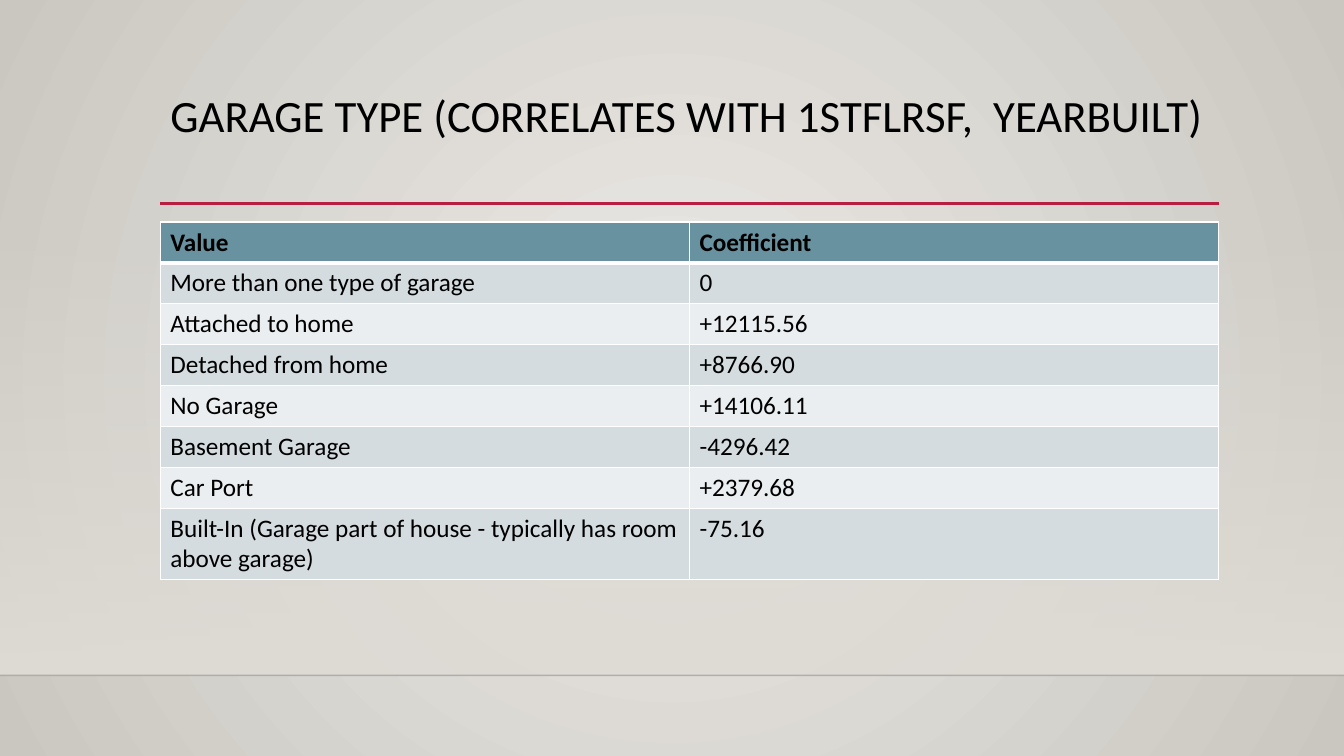
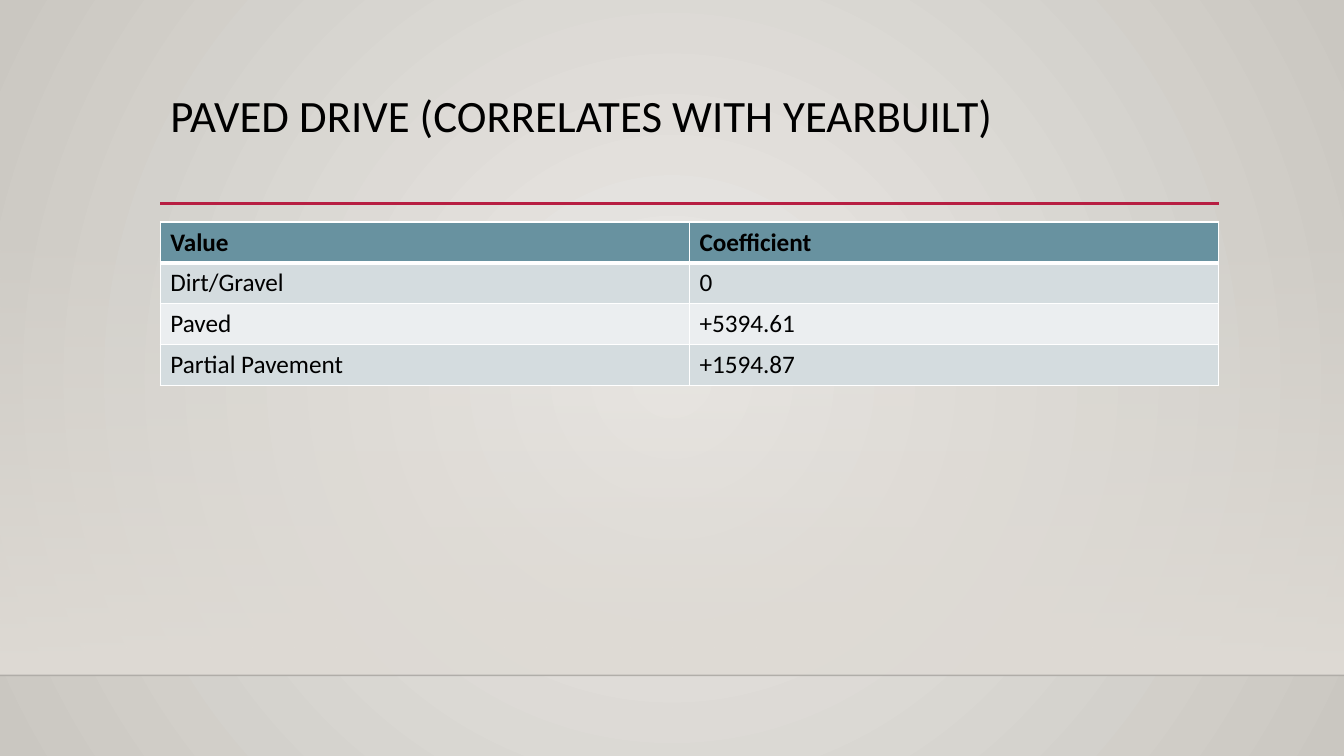
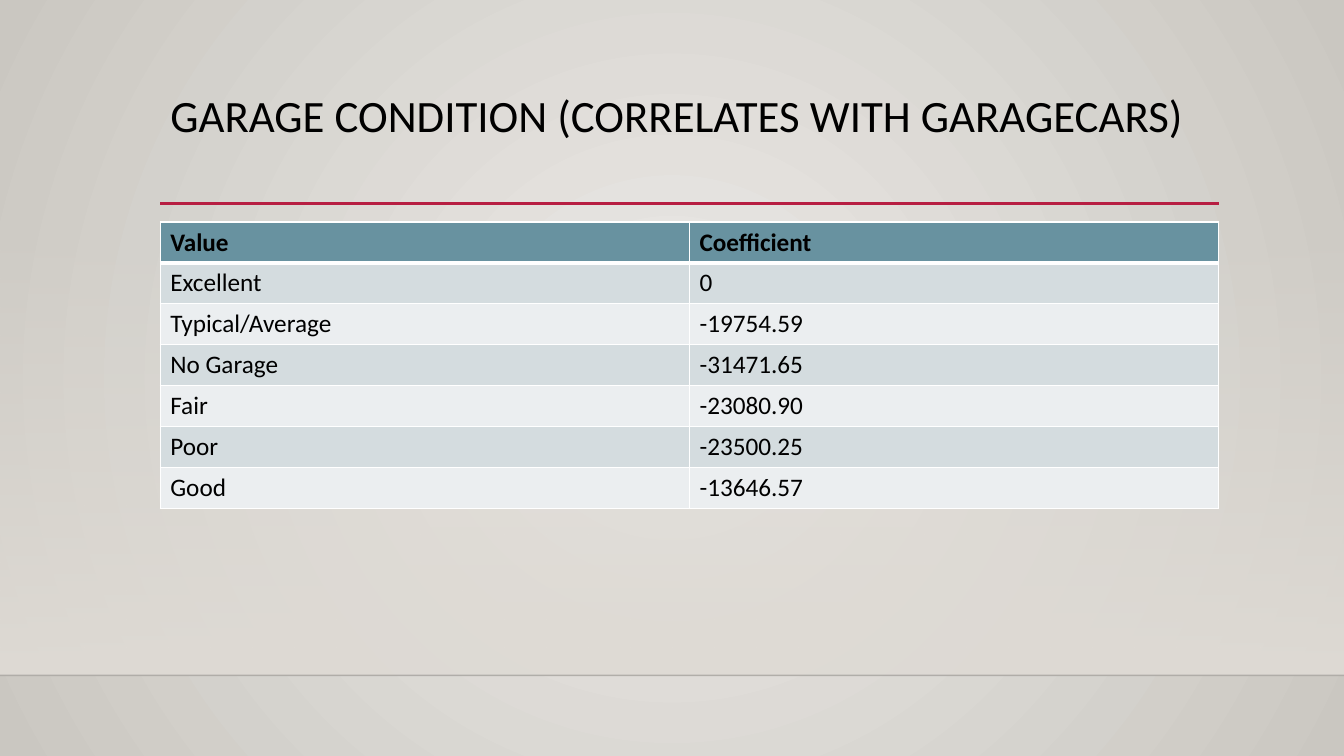
from lxml import etree
from pptx import Presentation
from pptx.dml.color import RGBColor
from pptx.enum.shapes import MSO_CONNECTOR, MSO_SHAPE
from pptx.enum.text import MSO_ANCHOR, PP_ALIGN
from pptx.oxml import parse_xml
from pptx.oxml.ns import nsdecls, qn
from pptx.util import Pt

STRAIGHT = MSO_CONNECTOR.STRAIGHT
RECTANGLE = MSO_SHAPE.RECTANGLE
TOP = MSO_ANCHOR.TOP
LEFT = PP_ALIGN.LEFT

FONT = "Calibri"
BLACK = RGBColor(0x00, 0x00, 0x00)
WHITE = RGBColor(0xFF, 0xFF, 0xFF)
BACKGROUND_CENTRE = RGBColor(0xEC, 0xEA, 0xE7)
BACKGROUND_EDGE = RGBColor(0xCA, 0xC7, 0xC1)
WALL = RGBColor(0xDF, 0xDB, 0xD5)
ACCENT = RGBColor(0xB7, 0x1E, 0x42)
HEADER_FILL = RGBColor(0x68, 0x92, 0xA0)
ROW_FILLS = (RGBColor(0xD4, 0xDC, 0xDF), RGBColor(0xEB, 0xEE, 0xF0))

# Lengths in points; boxes are left, top, width, height
SLIDE_WIDTH, SLIDE_HEIGHT = 960, 540
WALL_BOX = (0, 159, SLIDE_WIDTH, 323.4)
TITLE_BOX = (114.5, 63.2, 756, 82.5)
RULE_BOX = (114.5, 145.5, 756, 0)
TABLE_BOX = (114.5, 158.6, 756)
ROW_HEIGHT = 29.2
TITLE_SIZE, TABLE_SIZE = 32, 18
THIN, THICK = 1, 3

HEADER = ("Value", "Coefficient")
TABLE_SLIDES = [
    ("GARAGE TYPE (CORRELATES WITH 1STFLRSF,  YEARBUILT)", [
        ("More than one type of garage", "0"),
        ("Attached to home", "+12115.56"),
        ("Detached from home", "+8766.90"),
        ("No Garage", "+14106.11"),
        ("Basement Garage", "-4296.42"),
        ("Car Port", "+2379.68"),
        ("Built-In (Garage part of house - typically has room above garage)",
         "-75.16"),
    ]),
    ("PAVED DRIVE (CORRELATES WITH YEARBUILT)", [
        ("Dirt/Gravel", "0"),
        ("Paved", "+5394.61"),
        ("Partial Pavement", "+1594.87"),
    ]),
    ("GARAGE CONDITION (CORRELATES WITH GARAGECARS)", [
        ("Excellent", "0"),
        ("Typical/Average", "-19754.59"),
        ("No Garage", "-31471.65"),
        ("Fair", "-23080.90"),
        ("Poor", "-23500.25"),
        ("Good", "-13646.57"),
    ]),
]


def set_gradient(parent, start, end, direction, start_alpha=100):
    """Replace the solid fill in parent with a two-stop gradient."""
    gradient = parse_xml(
        f'<a:gradFill {nsdecls("a")} rotWithShape="1"><a:gsLst>'
        f'<a:gs pos="0"><a:srgbClr val="{start}">'
        f'<a:alpha val="{start_alpha * 1000}"/></a:srgbClr></a:gs>'
        f'<a:gs pos="100000"><a:srgbClr val="{end}"/></a:gs>'
        f'</a:gsLst>{direction}</a:gradFill>')
    parent.replace(parent.find(qn("a:solidFill")), gradient)


def add_line(slide, box, color, width, opacity=100):
    left, top, length, drop = box
    line = slide.shapes.add_connector(
        STRAIGHT, Pt(left), Pt(top), Pt(left + length), Pt(top + drop))
    line.line.color.rgb = color
    line.line.width = Pt(width)
    if opacity < 100:
        color_element = line.element.find(".//" + qn("a:srgbClr"))
        etree.SubElement(color_element, qn("a:alpha")).set("val", str(opacity * 1000))
    etree.SubElement(line.element.spPr, qn("a:effectLst"))
    return line


def add_wall(slide, box):
    wall = slide.shapes.add_shape(RECTANGLE, *map(Pt, box))
    wall.shadow.inherit = False
    wall.line.fill.background()
    wall.fill.solid()
    set_gradient(wall.element.spPr, WALL, WALL,
                 '<a:lin ang="5400000" scaled="0"/>', start_alpha=0)
    return wall


def decorate_layout(layout, slide):
    """Give the layout its background, wall and lines, drawn by way of a slide."""
    layout.background.fill.solid()
    set_gradient(
        layout.element.find(".//" + qn("p:bgPr")), BACKGROUND_CENTRE, BACKGROUND_EDGE,
        '<a:path path="circle">'
        '<a:fillToRect l="50000" t="50000" r="50000" b="50000"/></a:path>')

    # Only the title placeholder is used
    for placeholder in list(layout.placeholders)[1:]:
        layout.shapes.element.remove(placeholder.element)

    left, top, width, height = WALL_BOX
    decorations = [
        add_wall(slide, WALL_BOX),
        add_line(slide, (left, top + height, width, 0), BLACK, 1, opacity=20),
        add_line(slide, RULE_BOX, ACCENT, 2.5),
    ]
    # The first two children of the tree are its own properties
    for position, shape in enumerate(decorations, start=2):
        layout.shapes.element.insert(position, shape.element)


def format_runs(paragraph, size, bold=False):
    for run in paragraph.runs:
        run.font.name = FONT
        run.font.size = Pt(size)
        run.font.bold = bold
        run.font.color.rgb = BLACK


def place_title(slide, text, box):
    title = slide.shapes.title
    title.left, title.top, title.width, title.height = map(Pt, box)
    frame = title.text_frame
    frame.text = text
    frame.word_wrap = True
    frame.vertical_anchor = TOP
    paragraph = frame.paragraphs[0]
    paragraph.alignment = LEFT
    paragraph.line_spacing = 0.9
    format_runs(paragraph, TITLE_SIZE)


def set_borders(cell, top, bottom):
    """Draw white borders; the lines come before the fill in the cell."""
    widths = {"lnL": THIN, "lnR": THIN, "lnT": top, "lnB": bottom}
    properties = cell._tc.get_or_add_tcPr()
    for position, (side, width) in enumerate(widths.items()):
        properties.insert(position, parse_xml(
            f'<a:{side} {nsdecls("a")} w="{Pt(width)}"><a:solidFill>'
            f'<a:srgbClr val="{WHITE}"/></a:solidFill></a:{side}>'))


def add_coefficient_table(slide, rows, box):
    left, top, width = box
    records = [HEADER, *rows]
    table = slide.shapes.add_table(
        len(records), len(HEADER), Pt(left), Pt(top), Pt(width),
        Pt(ROW_HEIGHT * len(records))).table
    for row_index, record in enumerate(records):
        is_header = row_index == 0
        table.rows[row_index].height = Pt(ROW_HEIGHT)
        for column_index, text in enumerate(record):
            cell = table.cell(row_index, column_index)
            cell.text_frame.text = text
            format_runs(cell.text_frame.paragraphs[0], TABLE_SIZE, bold=is_header)
            cell.fill.solid()
            cell.fill.fore_color.rgb = (
                HEADER_FILL if is_header else ROW_FILLS[(row_index - 1) % 2])
            set_borders(cell, top=THICK if row_index == 1 else THIN,
                        bottom=THICK if is_header else THIN)


def main():
    presentation = Presentation()
    presentation.slide_width = Pt(SLIDE_WIDTH)
    presentation.slide_height = Pt(SLIDE_HEIGHT)
    layout = presentation.slide_layouts.get_by_name("Title Only")

    slides = [presentation.slides.add_slide(layout) for _ in TABLE_SLIDES]
    decorate_layout(layout, slides[0])
    for slide, (title, rows) in zip(slides, TABLE_SLIDES):
        place_title(slide, title, TITLE_BOX)
        add_coefficient_table(slide, rows, TABLE_BOX)

    presentation.save("out.pptx")


if __name__ == "__main__":
    main()
